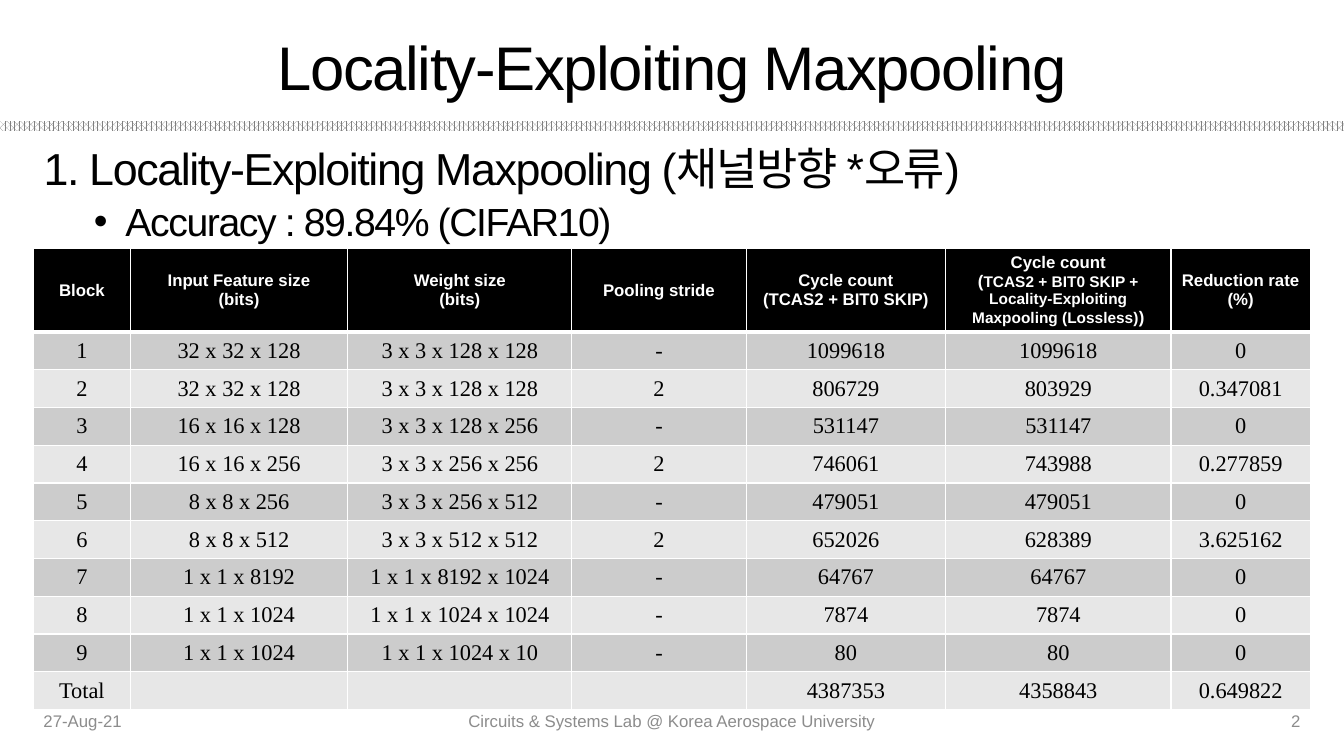
from lxml.etree import SubElement
from pptx import Presentation
from pptx.dml.color import RGBColor
from pptx.enum.dml import MSO_PATTERN
from pptx.enum.shapes import MSO_SHAPE
from pptx.enum.text import MSO_ANCHOR, PP_ALIGN
from pptx.oxml.ns import qn
from pptx.util import Pt

COLORS = {"ink": "000000", "paper": "FFFFFF", "muted": "8C8C8C",
          "rule": "808080", "odd": "CCCCCC", "even": "E7E7E7"}
SANS, SERIF = "Arial", "Times New Roman"
LEFT, WIDE = 24, 912


def shade(name):
    """Return the named color."""
    return RGBColor.from_string(COLORS[name])


class Deck:
    """Holds the style and the current slide."""

    def __init__(self, slide):
        """Keep the slide to draw on."""
        self.slide = slide

    def style(self, para, size, color="ink", face=SANS, bold=False,
              align=PP_ALIGN.LEFT):
        """Set the font and alignment of a paragraph."""
        font = para.font
        font.name, font.size, font.bold = face, Pt(size), bold
        font.color.rgb = shade(color)
        para.alignment = align

    def text(self, box, lines, size, color="ink", align=PP_ALIGN.LEFT,
             anchor=MSO_ANCHOR.MIDDLE, tight=False):
        """Add a text box and return its paragraphs."""
        shape = self.slide.shapes.add_textbox(*map(Pt, box))
        frame = shape.text_frame
        frame.word_wrap = True
        frame.vertical_anchor = anchor
        frame.text = "\n".join(lines)
        for para in frame.paragraphs:
            self.style(para, size, color, align=align)
            if tight:
                para.runs[0]._r.get_or_add_rPr().set("spc", "-100")
        return frame.paragraphs

    def bullet(self, para, indent, hang):
        """Give a paragraph a hanging bullet."""
        props = para._p.get_or_add_pPr()
        props.set("marL", str(Pt(indent)))
        props.set("indent", str(-Pt(hang)))
        for tag, value in (("buFont", {"typeface": SANS}),
                           ("buChar", {"char": "•"})):
            mark = props.makeelement(qn(f"a:{tag}"), value)
            props.insert_element_before(mark, "a:tabLst", "a:defRPr",
                                        "a:extLst")

    def band(self, box):
        """Add a patterned rule."""
        shape = self.slide.shapes.add_shape(MSO_SHAPE.RECTANGLE, *map(Pt, box))
        shape.shadow.inherit = False
        shape.line.fill.background()
        shape.fill.patterned()
        shape.fill.pattern = MSO_PATTERN.PERCENT_70
        shape.fill.fore_color.rgb = shade("rule")
        shape.fill.back_color.rgb = shade("paper")

    def border(self, cell, base):
        """Draw white cell edges, with the given bottom width."""
        props = cell._tc.get_or_add_tcPr()
        for at, (side, width) in enumerate(
                (("L", 1), ("R", 1), ("T", 1), ("B", base))):
            line = props.makeelement(qn(f"a:ln{side}"), {"w": str(Pt(width))})
            fill = SubElement(line, qn("a:solidFill"))
            SubElement(fill, qn("a:srgbClr"), val=COLORS["paper"])
            props.insert(at, line)

    def cell(self, cell, lines, fill, base=1, **font):
        """Fill one cell; a line is a string or a list of sized runs."""
        cell.fill.solid()
        cell.fill.fore_color.rgb = shade(fill)
        cell.vertical_anchor = MSO_ANCHOR.MIDDLE
        cell.margin_top = cell.margin_bottom = Pt(1)
        self.border(cell, base)
        frame = cell.text_frame
        for at, line in enumerate(lines):
            para = frame.add_paragraph() if at else frame.paragraphs[0]
            self.style(para, align=PP_ALIGN.CENTER, **font)
            if isinstance(line, str):
                para.text = line
                continue
            for words, size in line:
                run = para.add_run()
                run.text, run.font.size = words, Pt(size)

    def table(self, box, widths, heights, head, rows):
        """Add the banded table."""
        grid = self.slide.shapes.add_table(
            len(heights), len(widths), *map(Pt, box)).table
        for col, width in zip(grid.columns, widths):
            col.width = Pt(width)
        for row, height in zip(grid.rows, heights):
            row.height = Pt(height)
        for col, lines in enumerate(head):
            self.cell(grid.cell(0, col), lines, "ink", 3,
                      size=12, color="paper", bold=True)
        for at, row in enumerate(rows, 1):
            for col, value in enumerate(row):
                cell = grid.cell(at, col)
                self.cell(cell, [value], "odd" if at % 2 else "even",
                          size=16, face=SERIF)
                if col > 3:
                    cell.margin_left = cell.margin_right = Pt(0.7)


def record(name, input_size, weight, stride, base, cut):
    """Build a table row with its reduction rate."""
    rate = 100 * (base - cut) / base
    return (name, input_size, weight, stride, str(base), str(cut),
            f"{rate:.6f}" if rate else "0")


HEAD = [["Block"], ["Input Feature size", "(bits)"], ["Weight size", "(bits)"],
        ["Pooling stride"], ["Cycle count", "(TCAS2 + BIT0 SKIP)"],
        ["Cycle count", [("(", 12), ("TCAS2 + BIT0 SKIP + Locality-Exploiting "
                                     "Maxpooling (Lossless)", 11), (")", 12)]],
        ["Reduction rate", "(%)"]]
BLOCKS = [("32 x 32 x 128", "3 x 3 x 128 x 128", "-", 1099618, 1099618),
          ("32 x 32 x 128", "3 x 3 x 128 x 128", "2", 806729, 803929),
          ("16 x 16 x 128", "3 x 3 x 128 x 256", "-", 531147, 531147),
          ("16 x 16 x 256", "3 x 3 x 256 x 256", "2", 746061, 743988),
          ("8 x 8 x 256", "3 x 3 x 256 x 512", "-", 479051, 479051),
          ("8 x 8 x 512", "3 x 3 x 512 x 512", "2", 652026, 628389),
          ("1 x 1 x 8192", "1 x 1 x 8192 x 1024", "-", 64767, 64767),
          ("1 x 1 x 1024", "1 x 1 x 1024 x 1024", "-", 7874, 7874),
          ("1 x 1 x 1024", "1 x 1 x 1024 x 10", "-", 80, 80)]


def main():
    """Build and save the slide."""
    show = Presentation()
    show.slide_width, show.slide_height = Pt(960), Pt(540)
    deck = Deck(show.slides.add_slide(show.slide_layouts[6]))
    deck.band((0, 86.5, 960, 7))
    deck.text((LEFT, 16, WIDE, 62.5), ["Locality-Exploiting Maxpooling"], 44,
              align=PP_ALIGN.CENTER, tight=True)
    topic, point = deck.text(
        (LEFT, 101.5, WIDE, 385),
        ["1. Locality-Exploiting Maxpooling (채널방향 *오류)",
         "Accuracy : 89.84% (CIFAR10)"], 32, anchor=MSO_ANCHOR.TOP, tight=True)
    for para, space in ((topic, 10), (point, 5)):
        para.line_spacing, para.space_before = 0.9, Pt(space)
    point.font.size = Pt(28)
    deck.bullet(point, 58.5, 22.5)

    for left, width, words, align in (
            (LEFT, 216, "27-Aug-21", PP_ALIGN.LEFT),
            (318, 324, "Circuits & Systems Lab @ Korea Aerospace University",
             PP_ALIGN.CENTER),
            (717, 219, "2", PP_ALIGN.RIGHT)):
        deck.text((left, 500, width, 29), [words], 12, "muted", align)

    rows = [record(str(at), *block) for at, block in enumerate(BLOCKS, 1)]
    sums = [sum(block[col] for block in BLOCKS) for col in (3, 4)]
    rows.append(record("Total", "", "", "", *sums))
    widths = (69, 155.5, 160, 124.5, 142.5, 161, 99.5)
    heights = [59.5] + [27] * len(rows)
    deck.table((LEFT, 177.5, WIDE, sum(heights)), widths, heights, HEAD, rows)
    show.save("out.pptx")


main()
